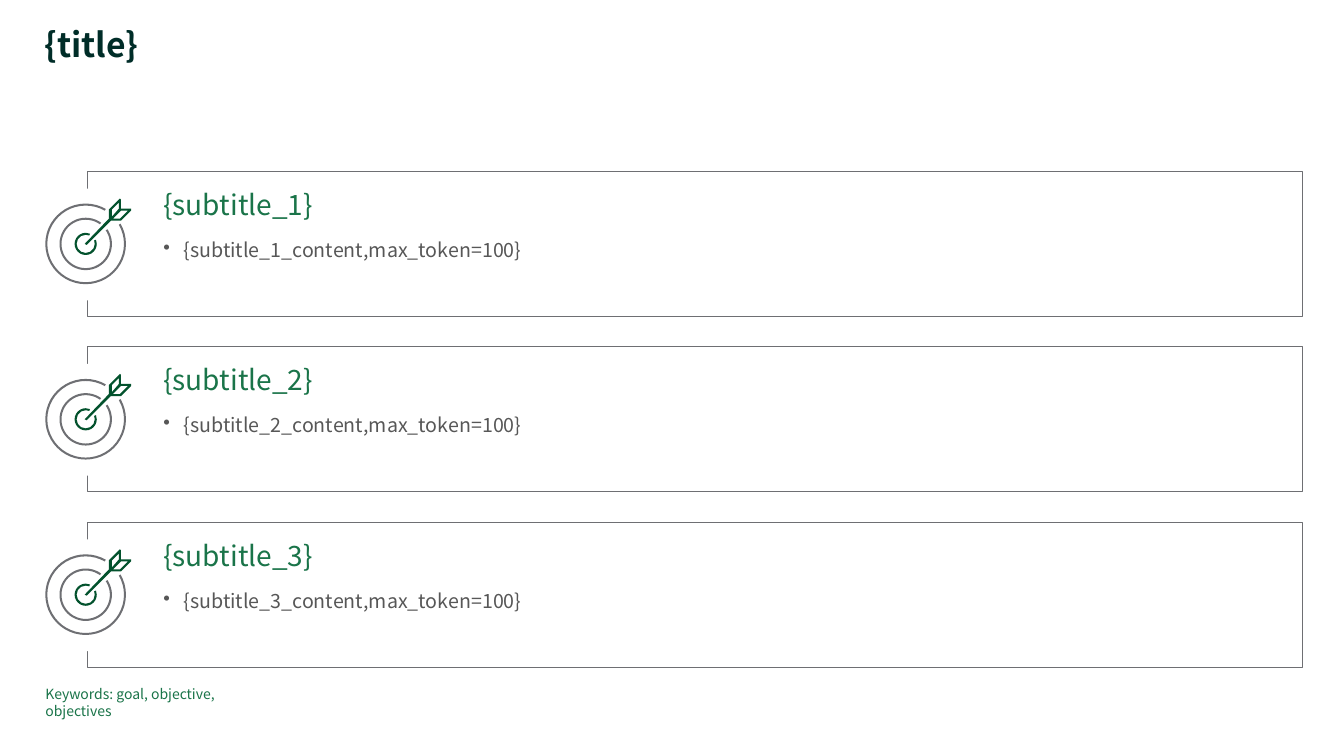
import pptx
import pptx.dml.color
import pptx.enum.shapes
import pptx.enum.text
import pptx.util
from lxml import etree
from pptx.util import Inches

COLORS = {
    "title": "002D28",
    "heading": "1A7449",
    "body": "575757",
    "gray": "6E6F73",
    "dart": "03522D",
    "white": "FFFFFF",
}
FONT = "Noto Sans CJK JP"
ROW_PITCH = 1.74
RING_WIDTH = 0.02
ANGLE_UNIT = 0.6
RINGS = [
    (0.4, 330, 300, "gray"),
    (0.26, 326, 306, "gray"),
    (0.11, 338, 293, "dart"),
]
DART_CONTOURS = [
    [(1.3, 2.07), (1.2, 2.07), (1.2, 1.98), (1.19, 1.97), (1.08, 2.08),
     (1.08, 2.17), (0.84, 2.42), (0.86, 2.43), (1.1, 2.19), (1.2, 2.19), (1.3, 2.09)],
    [(1.11, 2.08), (1.18, 2.01), (1.18, 2.07), (1.11, 2.15)],
    [(1.19, 2.17), (1.12, 2.17), (1.2, 2.09), (1.27, 2.09)],
]


def style_text(paragraph, size, color, bold=False):
    paragraph.alignment = pptx.enum.text.PP_ALIGN.LEFT
    paragraph.font.name = FONT
    paragraph.font.size = pptx.util.Pt(size)
    paragraph.font.bold = bold
    paragraph.font.color.rgb = pptx.dml.color.RGBColor.from_string(COLORS[color])


def fill_plain(shape, color):
    shape.shadow.inherit = False
    shape.fill.solid()
    shape.fill.fore_color.rgb = pptx.dml.color.RGBColor.from_string(COLORS[color])
    shape.line.fill.background()


presentation = pptx.Presentation()
presentation.slide_width = Inches(13.33)
presentation.slide_height = Inches(7.5)
slide = presentation.slides.add_slide(presentation.slide_layouts[5])

title = slide.shapes.title
title.left, title.top = Inches(0.44), Inches(0.28)
title.width, title.height = Inches(11.03), Inches(0.37)
keywords = slide.shapes.add_textbox(Inches(0.45), Inches(6.8), Inches(2.28), Inches(0.17))
for shape, text, size, color, bold in [
    (title, "{title}", 24, "title", True),
    (keywords, "Keywords: goal, objective, objectives", 10, "heading", False),
]:
    frame = shape.text_frame
    frame.text = text
    frame.word_wrap = True
    frame.auto_size = pptx.enum.text.MSO_AUTO_SIZE.NONE
    frame.vertical_anchor = pptx.enum.text.MSO_ANCHOR.TOP
    frame.margin_left = frame.margin_top = frame.margin_right = frame.margin_bottom = 0
    style_text(frame.paragraphs[0], size, color, bold)
title.text_frame.paragraphs[0].line_spacing = 0.9

for row in range(3):
    offset = row * ROW_PITCH

    card = slide.shapes.add_shape(
        pptx.enum.shapes.MSO_SHAPE.RECTANGLE,
        Inches(0.87), Inches(1.7 + offset), Inches(12.05), Inches(1.44))
    card.shadow.inherit = False
    card.fill.background()
    card.line.color.rgb = pptx.dml.color.RGBColor.from_string(COLORS["gray"])
    card.line.width = pptx.util.Pt(0.5)
    frame = card.text_frame
    frame.word_wrap = True
    frame.vertical_anchor = pptx.enum.text.MSO_ANCHOR.TOP
    frame.margin_left = Inches(0.75)
    frame.margin_top = frame.margin_right = frame.margin_bottom = Inches(0.16)
    heading = frame.paragraphs[0]
    heading.text = f"{{subtitle_{row + 1}}}"
    heading.space_after = pptx.util.Pt(6)
    style_text(heading, 20, "heading")
    content = frame.add_paragraph()
    content.text = f"{{subtitle_{row + 1}_content,max_token=100}}"
    content.space_before = pptx.util.Pt(6)
    properties = content._p.get_or_add_pPr()
    properties.set("marL", str(Inches(0.2)))
    properties.set("indent", str(Inches(-0.2)))
    bullet = etree.SubElement(properties, pptx.oxml.ns.qn("a:buChar"))
    bullet.set("char", "•")
    style_text(content, 14, "body")

    backing = slide.shapes.add_shape(
        pptx.enum.shapes.MSO_SHAPE.RECTANGLE,
        Inches(0.32), Inches(1.87 + offset), Inches(1.11), Inches(1.11))
    fill_plain(backing, "white")

    target = slide.shapes.add_group_shape()
    for radius, start, end, color in RINGS:
        ring = target.shapes.add_shape(
            pptx.enum.shapes.MSO_SHAPE.BLOCK_ARC,
            Inches(0.85 - radius), Inches(2.42 + offset - radius),
            Inches(2 * radius), Inches(2 * radius))
        ring.adjustments[0] = start * ANGLE_UNIT * 100000 / 100000
        ring.adjustments[1] = end * ANGLE_UNIT
        ring.adjustments[2] = RING_WIDTH / (2 * radius)
        fill_plain(ring, color)

    contours = [
        [(Inches(x), Inches(y + offset)) for x, y in contour] for contour in DART_CONTOURS
    ]
    builder = target.shapes.build_freeform(*contours[0][0])
    builder.add_line_segments(contours[0][1:])
    for contour in contours[1:]:
        builder.move_to(*contour[0])
        builder.add_line_segments(contour[1:])
    fill_plain(builder.convert_to_shape(), "dart")

presentation.save("out.pptx")
